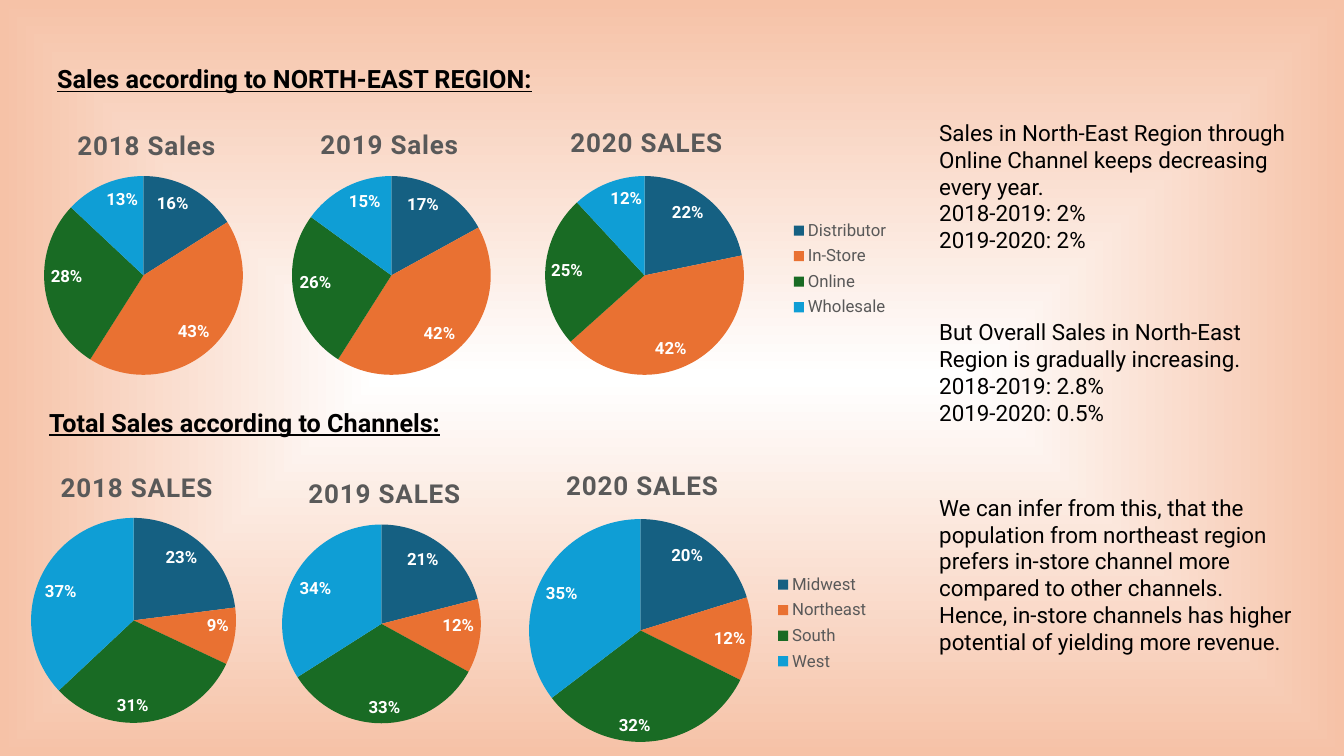
from dataclasses import dataclass
from lxml import etree
from pptx import Presentation
from pptx.chart.data import CategoryChartData
from pptx.dml.color import RGBColor
from pptx.enum import chart as ch, text as tx
from pptx.oxml.ns import qn
from pptx.util import Pt


@dataclass(frozen=True)
class Theme:
    font: str = "Roboto"
    ink: str = "000000"
    grey: str = "595959"
    white: str = "FFFFFF"
    peach: str = "F6C2A7"
    slices: tuple = ("156082", "E97132", "196B24", "0F9ED5")
    head: float = 18
    body: float = 16
    title: float = 18.6
    label: float = 12
    base: float = 10


T = Theme()
KEY = (105, 77)  # legend width and height


def style(font, size, color, bold=False, line=False):
    font.name, font.size = T.font, Pt(size)
    font.color.rgb = RGBColor.from_string(color)
    font.bold, font.underline = bold, line


def paint(slide):
    """Fill the background with a gradient from white centre to peach rim."""
    fill = slide.background.fill
    fill.gradient()
    for stop, pos, color in zip(fill.gradient_stops, (0, 1), (T.white, T.peach)):
        stop.position = pos
        stop.color.rgb = RGBColor.from_string(color)
    grad = slide._element.find(".//" + qn("a:gradFill"))
    grad.remove(grad.find(qn("a:lin")))
    path = etree.SubElement(grad, qn("a:path"), path="shape")
    etree.SubElement(path, qn("a:fillToRect"), l="50000", t="50000",
                     r="50000", b="50000")


def place(part, index, box, left, top, size=None, inner=False):
    """Fix a chart part at a slide point, as a share of the chart box."""
    for old in part.findall(qn("c:layout")):
        part.remove(old)
    layout = etree.Element(qn("c:layout"))
    part.insert(index, layout)
    manual = etree.SubElement(layout, qn("c:manualLayout"))
    x, y, wide, high = box
    vals = {"x": (left - x) / wide, "y": (top - y) / high}
    if size:
        vals.update(w=size[0] / wide, h=size[1] / high)
    if inner:
        etree.SubElement(manual, qn("c:layoutTarget"), val="inner")
    for axis in "xy":
        etree.SubElement(manual, qn(f"c:{axis}Mode"), val="edge")
    for name, val in vals.items():
        etree.SubElement(manual, qn("c:" + name), val=f"{val:.4f}")


def pie(slide, box, name, cats, vals, disc, head, key=None):
    """Draw one pie: disc is centre and radius, head and key are corners."""
    data = CategoryChartData()
    data.categories = cats
    data.add_series(name, vals)
    chart = slide.shapes.add_chart(ch.XL_CHART_TYPE.PIE, *map(Pt, box), data).chart
    style(chart.font, T.base, T.ink)

    # Slices and labels
    plot = chart.plots[0]
    plot.vary_by_categories = True
    for i, color in enumerate(T.slices):
        fill = plot.series[0].points[i].format.fill
        fill.solid()
        fill.fore_color.rgb = RGBColor.from_string(color)
    plot.has_data_labels = True
    labels = plot.data_labels
    labels.show_percentage, labels.show_value = True, False
    labels.number_format, labels.number_format_is_linked = "0%", False
    labels.position = ch.XL_LABEL_POSITION.INSIDE_END
    style(labels.font, T.label, T.white, bold=True)
    x, y, r = disc
    area = chart._chartSpace.find(".//" + qn("c:plotArea"))
    place(area, 0, box, x - r, y - r, (2 * r, 2 * r), inner=True)

    # Title
    chart.has_title = True
    title = chart.chart_title
    title.text_frame.text = name
    title.include_in_layout = False
    run = title.text_frame.paragraphs[0].runs[0]
    style(run.font, T.title, T.grey, bold=True)
    run._r.get_or_add_rPr().set("spc", "50")
    place(title._element, 1, box, *head)

    # Legend
    chart.has_legend = key is not None
    if key:
        legend = chart.legend
        legend.position = ch.XL_LEGEND_POSITION.RIGHT
        legend.include_in_layout = False
        style(legend.font, T.label, T.grey)
        place(legend._element, 1, box, *key, KEY)


def note(slide, box, words, size=T.body, bold=False, line=False):
    frame = slide.shapes.add_textbox(*map(Pt, box)).text_frame
    frame.word_wrap = True
    frame.auto_size = tx.MSO_AUTO_SIZE.SHAPE_TO_FIT_TEXT
    frame.text = words
    for para in frame.paragraphs:
        for run in para.runs:
            style(run.font, size, T.ink, bold, line)


def band(slide, box, head, cats, pies):
    """Draw a headed row of pies."""
    note(slide, box, head, T.head, bold=True, line=True)
    for args in pies:
        pie(slide, args[0], args[1], cats, *args[2:])


def region(slide):
    top, high, y, r = 75.6, 202.3, 196.8, 71
    band(slide, (33.8, 41.8, 378, 28.8), "Sales according to NORTH-EAST REGION:",
         ("Distributor", "In-Store", "Online", "Wholesale"), (
        ((-41, top, 287.3, high), "2018 Sales", (16, 43, 28, 13),
         (102.5, y, r), (52, 88)),
        ((131, top, 297.4, high), "2019 Sales", (17, 42, 26, 15),
         (279.6, y, r), (225.5, 87.5)),
        ((351.4, top, 297.4, high), "2020 SALES", (22, 42, 25, 12),
         (460.4, y, r), (404, 86), (551.4, 153.6))))


def channels(slide):
    top = 319.7
    band(slide, (28.1, 287.3, 339, 28.8), "Total Sales according to Channels:",
         ("Midwest", "Northeast", "South", "West"), (
        ((-30.2, top, 251.3, 206.6), "2018 SALES", (23, 9, 31, 37),
         (95.4, 443.2, 73.2), (40, 332.5)),
        ((146.9, 324, 251.3, 202.3), "2019 SALES", (21, 12, 33, 34),
         (272.5, 445.7, 71), (217, 336.8)),
        ((367.9, top, 256.3, 220.3), "2020 SALES", (20, 12, 32, 35),
         (457.5, 450.4, 79.6), (401, 331), (550.5, 406.5))))


def remarks(slide):
    left = 663.8
    for top, wide, high, words in (
        (81.4, 262.8, 104.4, "Sales in North-East Region through Online Channel "
         "keeps decreasing every year.\n2018-2019: 2%\n2019-2020: 2%"),
        (223.9, 262.8, 85, "But Overall Sales in North-East Region is gradually "
         "increasing.\v2018-2019: 2.8%\n2019-2020: 0.5%"),
        (349.2, 272.9, 123.8, "We can infer from this, that the population from "
         "northeast region prefers in-store channel more compared to other "
         "channels.\nHence, in-store channels has higher potential of yielding "
         "more revenue."),
    ):
        note(slide, (left, top, wide, high), words)


def main():
    deck = Presentation()
    deck.slide_width, deck.slide_height = Pt(960), Pt(540)
    slide = deck.slides.add_slide(deck.slide_layouts[6])
    paint(slide)
    region(slide)
    channels(slide)
    remarks(slide)
    deck.save("out.pptx")


if __name__ == "__main__":
    main()
